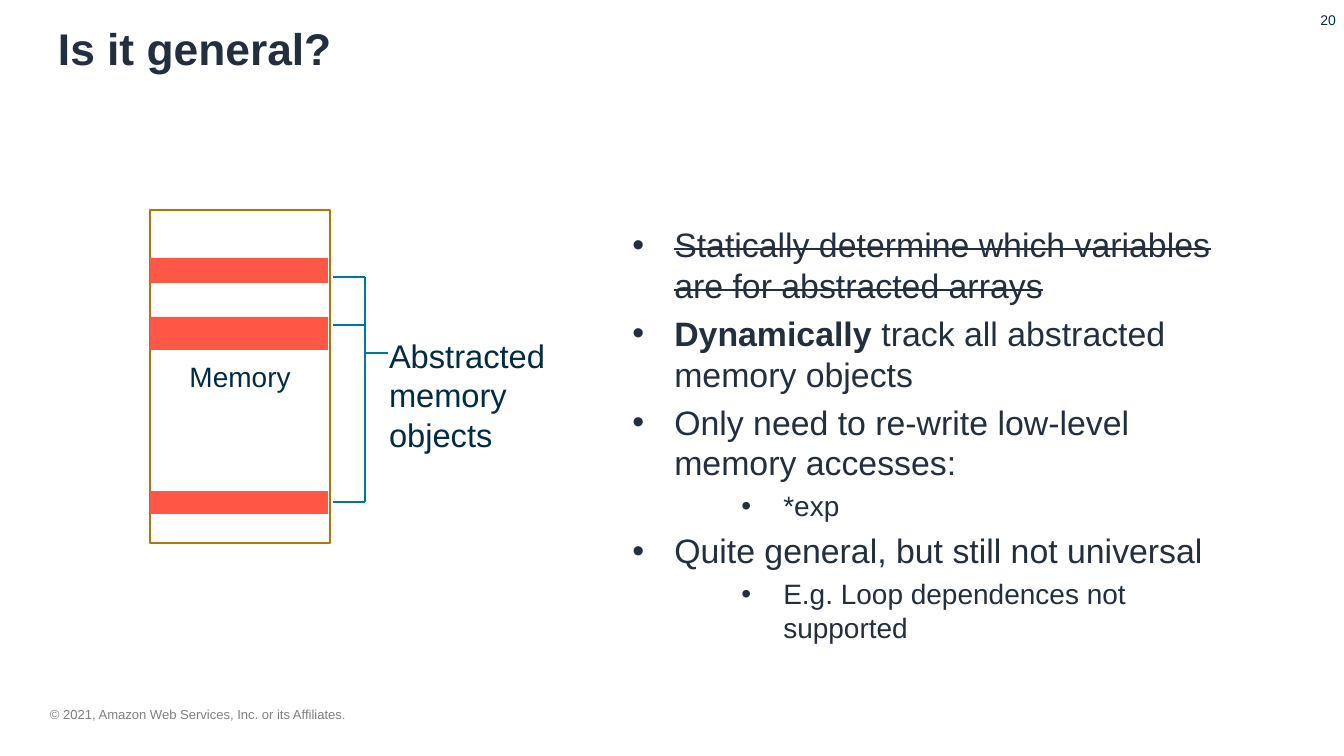
from lxml import etree
from pptx import Presentation
from pptx import util as u
from pptx.dml.color import RGBColor
from pptx.enum import shapes, text
from pptx.oxml import ns

PX = 914400 / 84
NAVY = RGBColor(0x23, 0x2F, 0x3E)
DEEP_BLUE = RGBColor(0x00, 0x2D, 0x43)
TEAL = RGBColor(0x00, 0x78, 0x96)
AMBER = RGBColor(0xBD, 0x71, 0x00)
CORAL = RGBColor(0xFF, 0x57, 0x45)
GRAY = RGBColor(0x80, 0x80, 0x80)
WHITE = RGBColor(0xFF, 0xFF, 0xFF)


def px(*lengths):
    return [u.Emu(round(length * PX)) for length in lengths]


def add_run(paragraph, words, size, color, bold=False):
    run = paragraph.add_run()
    run.text = words
    run.font.name = "Arial"
    run.font.size = u.Pt(size)
    run.font.bold = bold
    run.font.color.rgb = color
    return run


deck = Presentation()
deck.slide_width, deck.slide_height = px(1344, 756)
slide = deck.slides.add_slide(deck.slide_layouts[6])

LEFT, RIGHT = text.PP_ALIGN.LEFT, text.PP_ALIGN.RIGHT
TOP, MIDDLE = text.MSO_ANCHOR.TOP, text.MSO_ANCHOR.MIDDLE
captions = [
    ("© 2021, Amazon Web Services, Inc. or its Affiliates.",
     (50, 706, 654, 16), 11.2, GRAY, False, LEFT, TOP, (0, 0)),
    ("Is it general?", (50, 17, 1242, 92), 38, NAVY, True, LEFT, TOP, (8, 4)),
    ("Abstracted memory objects",
     (381, 332, 181, 127), 28, DEEP_BLUE, False, LEFT, TOP, (8, 4)),
    ("20", (1042, 0, 302, 40), 12, DEEP_BLUE, False, RIGHT, MIDDLE, (8, 4)),
]
for words, place, size, color, bold, align, anchor, (side, edge) in captions:
    frame = slide.shapes.add_textbox(*px(*place)).text_frame
    frame.word_wrap = True
    frame.vertical_anchor = anchor
    frame.margin_left, frame.margin_right = px(side, side)
    frame.margin_top, frame.margin_bottom = px(edge, edge)
    frame.paragraphs[0].alignment = align
    add_run(frame.paragraphs[0], words, size, color, bold)

points = [
    (0, [("Statically determine which variables are for abstracted arrays", "strike")]),
    (0, [("Dynamically", "bold"), (" track all abstracted memory objects", "")]),
    (0, [("Only need to re-write low-level memory accesses:", "")]),
    (1, [("*exp", "")]),
    (0, [("Quite general, but still not universal", "")]),
    (1, [("E.g. Loop dependences not supported", "")]),
]
body = slide.shapes.add_textbox(*px(624, 220, 617, 425)).text_frame
body.word_wrap = True
for index, (level, pieces) in enumerate(points):
    point = body.add_paragraph() if index else body.paragraphs[0]
    size = (29, 24)[level]
    point.level = level
    if index:
        point.space_before = u.Pt(round(size * 0.22, 1))
    indent, hang = px((42, 151)[level], -42)
    properties = point._p.get_or_add_pPr()
    properties.set("marL", str(indent))
    properties.set("indent", str(hang))
    etree.SubElement(properties, ns.qn("a:buFont")).set("typeface", "Arial")
    etree.SubElement(properties, ns.qn("a:buChar")).set("char", "•")
    for words, style in pieces:
        run = add_run(point, words, size, NAVY, style == "bold")
        if style == "strike":
            run.font._element.set("strike", "sngStrike")

memory_blocks = [
    ("Memory", (150, 210, 180, 333), WHITE),
    ("", (150, 258, 178, 25), CORAL),
    ("", (150, 317, 178, 33), CORAL),
    ("", (150, 491, 178, 23), CORAL),
]
for label, place, color in memory_blocks:
    block = slide.shapes.add_shape(shapes.MSO_SHAPE.RECTANGLE, *px(*place))
    block.shadow.inherit = False
    block.fill.solid()
    block.fill.fore_color.rgb = color
    if label:
        block.line.color.rgb = AMBER
        block.line.width = u.Pt(2)
        block.text_frame.vertical_anchor = MIDDLE
        block.text_frame.paragraphs[0].alignment = text.PP_ALIGN.CENTER
        add_run(block.text_frame.paragraphs[0], label, 24, DEEP_BLUE)
    else:
        block.line.fill.background()

bracket = [
    (333, 277, 365, 277),
    (365, 277, 365, 502),
    (333, 502, 365, 502),
    (333, 325, 365, 325),
    (365, 353, 388, 353),
]
for ends in bracket:
    stroke = slide.shapes.add_connector(shapes.MSO_CONNECTOR.STRAIGHT, *px(*ends))
    stroke.line.color.rgb = TEAL
    stroke.line.width = u.Pt(2.25)
    etree.SubElement(stroke._element.spPr, ns.qn("a:effectLst"))

deck.save("out.pptx")
